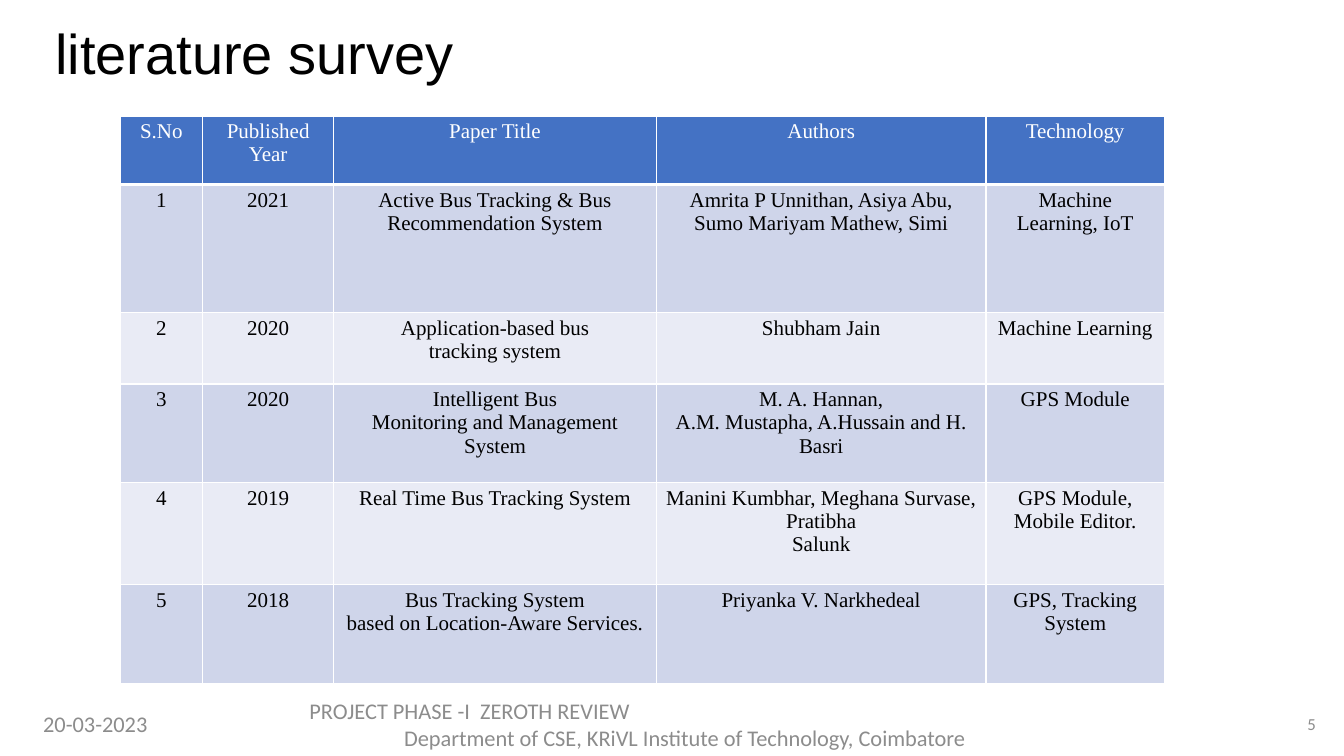
"""Build the literature survey slide with its table and footer."""
from dataclasses import dataclass

from lxml import etree
from pptx import Presentation
from pptx import util as u
from pptx.dml.color import RGBColor
from pptx.enum import text
from pptx.oxml import ns


@dataclass(frozen=True)
class Theme:
    title_font: str = "Arial"
    table_font: str = "Times New Roman"
    footer_font: str = "Calibri"
    title_size: int = 40
    table_size: int = 15
    footer_size: int = 16
    number_size: int = 12
    ink: str = "000000"
    paper: str = "FFFFFF"
    muted: str = "8C8C8C"
    header: str = "4472C4"
    bands: tuple = ("CFD5EA", "E9EBF5")


THEME = Theme()
LEFT, CENTER, RIGHT = text.PP_ALIGN.LEFT, text.PP_ALIGN.CENTER, text.PP_ALIGN.RIGHT

TITLE = "literature survey"
SURVEY = [
    ("S.No", "Published\nYear", "Paper Title", "Authors", "Technology"),
    ("1", "2021", "Active Bus Tracking & Bus Recommendation System",
     "Amrita P Unnithan, Asiya Abu, Sumo Mariyam Mathew, Simi",
     "Machine Learning,\u00a0IoT"),
    ("2", "2020", "Application-based bus\ntracking system", "Shubham Jain",
     "Machine Learning"),
    ("3", "2020", "Intelligent Bus\nMonitoring and Management System",
     "M. A. Hannan,\nA.M. Mustapha, A.Hussain and H. Basri", "GPS Module"),
    ("4", "2019", "Real Time Bus Tracking System",
     "Manini Kumbhar, Meghana Survase, Pratibha\nSalunk",
     "GPS Module, Mobile Editor."),
    ("5", "2018", "Bus Tracking System\nbased on Location-Aware Services.",
     "Priyanka V. Narkhedeal", "GPS, Tracking System"),
]
COLUMN_WIDTHS = (0.82, 1.3, 3.2, 3.27, 1.77)
ROW_HEIGHTS = (0.68, 1.27, 0.71, 0.98, 1.01, 0.98)
TABLE_LEFT, TABLE_TOP = 1.19, 1.15

FOOTER_TOP, FOOTER_HEIGHT = 6.98, 0.4
FOOTERS = [
    (0.33, 1.45, THEME.footer_size, [("20-03-2023", LEFT, 0)]),
    (2.97, 7.4, THEME.footer_size, [
        ("PROJECT PHASE -I  ZEROTH REVIEW", LEFT, 0),
        ("Department of CSE, KRiVL Institute of Technology, Coimbatore", LEFT, 0.94)]),
    (12.54, 0.61, THEME.number_size, [("5", RIGHT, 0)]),
]


def style(paragraph, font, size, color, align):
    paragraph.alignment = align
    paragraph.font.name = font
    paragraph.font.size = u.Pt(size)
    paragraph.font.bold = False
    paragraph.font.color.rgb = RGBColor.from_string(color)


def add_title(slide):
    title = slide.shapes.title
    title.left, title.top, title.width, title.height = map(
        u.Inches, (0.15, 0.1, 11.5, 0.92))
    frame = title.text_frame
    frame.text = TITLE
    frame.word_wrap = True
    frame.margin_left = u.Inches(0.4)
    frame.vertical_anchor = text.MSO_ANCHOR.MIDDLE
    paragraph = frame.paragraphs[0]
    paragraph.line_spacing = 0.9
    style(paragraph, THEME.title_font, THEME.title_size, THEME.ink, LEFT)


def add_border(cell, side, points):
    properties = cell._tc.get_or_add_tcPr()
    line = etree.SubElement(properties, ns.qn(f"a:ln{side}"), w=str(u.Pt(points)))
    fill = etree.SubElement(line, ns.qn("a:solidFill"))
    etree.SubElement(fill, ns.qn("a:srgbClr"), val=THEME.paper)


def fill_cell(cell, content, row):
    heavy_side = {0: "B", 1: "T"}.get(row)
    for side in "LRTB":
        add_border(cell, side, 3 if side == heavy_side else 1)
    background = THEME.bands[(row - 1) % 2] if row else THEME.header
    cell.fill.solid()
    cell.fill.fore_color.rgb = RGBColor.from_string(background)
    cell.margin_left = cell.margin_right = u.Inches(0.08)
    cell.margin_top = cell.margin_bottom = u.Inches(0.04)
    cell.text = content
    color = THEME.ink if row else THEME.paper
    for paragraph in cell.text_frame.paragraphs:
        style(paragraph, THEME.table_font, THEME.table_size, color, CENTER)


def add_survey(slide):
    table = slide.shapes.add_table(
        len(SURVEY), len(COLUMN_WIDTHS), u.Inches(TABLE_LEFT), u.Inches(TABLE_TOP),
        u.Inches(sum(COLUMN_WIDTHS)), u.Inches(sum(ROW_HEIGHTS))).table
    for column, width in zip(table.columns, COLUMN_WIDTHS):
        column.width = u.Inches(width)
    for index, (entries, height) in enumerate(zip(SURVEY, ROW_HEIGHTS)):
        table.rows[index].height = u.Inches(height)
        for column, content in enumerate(entries):
            fill_cell(table.cell(index, column), content, index)


def add_footer(slide, left, width, size, lines):
    frame = slide.shapes.add_textbox(*map(
        u.Inches, (left, FOOTER_TOP, width, FOOTER_HEIGHT))).text_frame
    frame.word_wrap = True
    frame.vertical_anchor = text.MSO_ANCHOR.MIDDLE
    frame.text = "\n".join(line for line, _, _ in lines)
    for paragraph, (_, align, indent) in zip(frame.paragraphs, lines):
        style(paragraph, THEME.footer_font, size, THEME.muted, align)
        if indent:
            paragraph._p.get_or_add_pPr().set("marL", str(u.Inches(indent)))


presentation = Presentation()
presentation.slide_width = u.Inches(13.33)
presentation.slide_height = u.Inches(7.5)
slide = presentation.slides.add_slide(presentation.slide_layouts[5])
add_title(slide)
add_survey(slide)
for footer in FOOTERS:
    add_footer(slide, *footer)
presentation.save("out.pptx")
